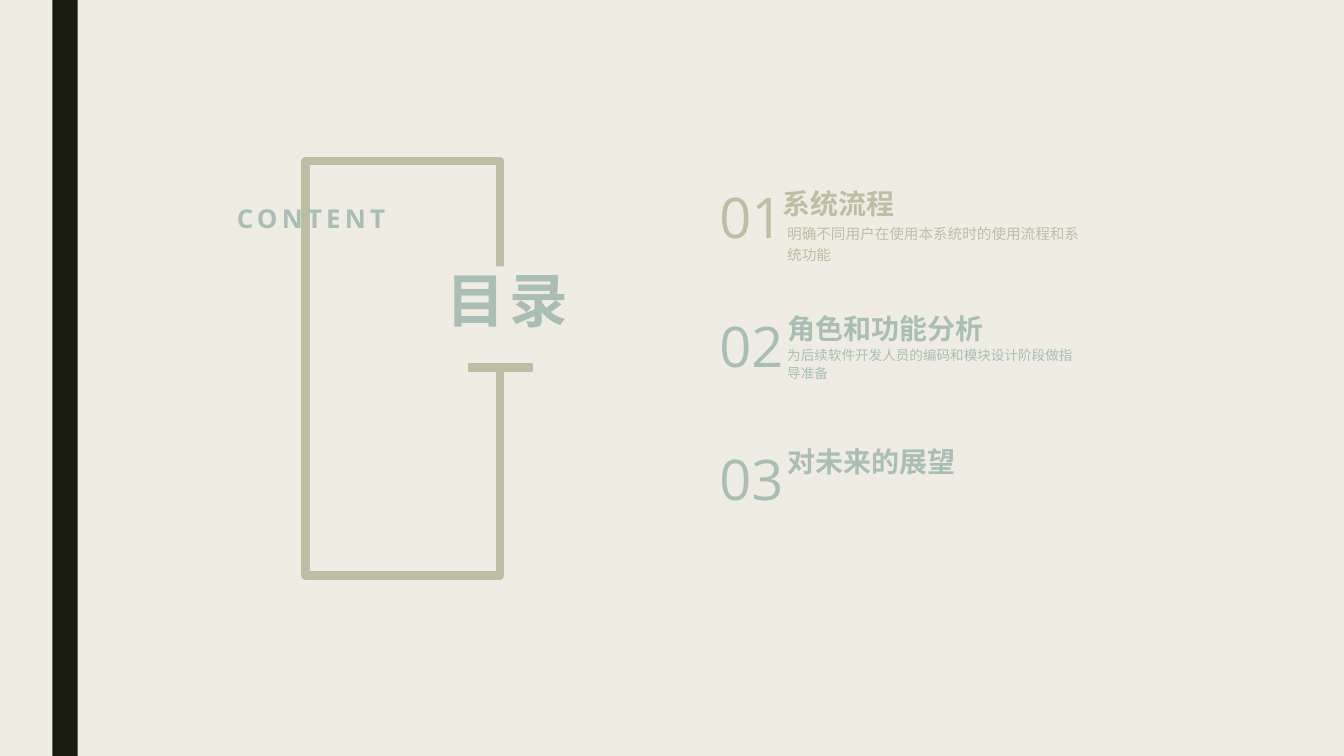
from dataclasses import dataclass
from typing import Optional

from pptx import Presentation
from pptx.dml.color import RGBColor
from pptx.enum.shapes import MSO_SHAPE
from pptx.enum.text import MSO_ANCHOR, MSO_AUTO_SIZE, PP_ALIGN
from pptx.util import Cm, Pt

RECT = MSO_SHAPE.RECTANGLE
TOP, MIDDLE, BOTTOM = MSO_ANCHOR.TOP, MSO_ANCHOR.MIDDLE, MSO_ANCHOR.BOTTOM
LEFT, RIGHT = PP_ALIGN.LEFT, PP_ALIGN.RIGHT
FIXED = MSO_AUTO_SIZE.NONE

CREAM = RGBColor(0xEF, 0xED, 0xE3)
DARK = RGBColor(0x19, 0x1B, 0x0E)
OLIVE = RGBColor(0xBC, 0xBF, 0xA4)
SAGE = RGBColor(0xAA, 0xBE, 0xB5)
FONT = "Open Sans"
PAD = (0.25, 0.13, 0, 0.13)
INDENT = (0.99, 0, 0, 0)


@dataclass
class Box:
    """Place and size in centimetres."""
    x: float
    y: float
    w: float
    h: float

    def cm(self) -> tuple:
        """Return the four lengths."""
        return Cm(self.x), Cm(self.y), Cm(self.w), Cm(self.h)


@dataclass
class Note:
    """Small text under a heading."""
    text: str
    box: Box
    size: float
    lead: float


@dataclass
class Entry:
    """One numbered line of the contents."""
    label: str
    place: Box
    head: str
    spot: Box
    color: RGBColor
    note: Optional[Note] = None


ENTRIES = [
    Entry("01", Box(17.88, 4.32, 1.9, 2.26),
          "系统流程", Box(18.72, 4.75, 8.26, 0.79), OLIVE,
          Note("明确不同用户在使用本系统时的使用流程和系统功能",
               Box(18.85, 5.72, 8.71, 0.79), 10.5, 1.2)),
    Entry("02", Box(17.88, 7.65, 1.9, 2.11),
          "角色和功能分析", Box(18.85, 7.98, 8.26, 0.71), SAGE,
          Note("为后续软件开发人员的编码和模块设计阶段做指导准备",
               Box(18.85, 8.69, 8.26, 0.94), 9.7, 1.1)),
    Entry("03", Box(17.88, 10.9, 1.9, 2.31),
          "对未来的展望", Box(18.85, 11.25, 8.26, 0.79), SAGE),
]


def draw_rect(slide, box: Box, fill=None, line=None, width: float = 0):
    """Draw a plain rectangle with an optional fill and outline."""
    shape = slide.shapes.add_shape(RECT, *box.cm())
    shape.shadow.inherit = False
    if fill is None:
        shape.fill.background()
    else:
        shape.fill.solid()
        shape.fill.fore_color.rgb = fill
    if line is None:
        shape.line.fill.background()
    else:
        shape.line.color.rgb = line
        shape.line.width = Pt(width)
    return shape


def put_text(shape, text: str, *, size: float, color: RGBColor,
             bold: bool = False, track: int = 0, align=LEFT, anchor=TOP,
             pad: tuple = PAD, lead: float = 1.0) -> None:
    """Write one formatted paragraph into a shape."""
    frame = shape.text_frame
    frame.word_wrap = True
    frame.auto_size = FIXED
    frame.vertical_anchor = anchor
    (frame.margin_left, frame.margin_top,
     frame.margin_right, frame.margin_bottom) = map(Cm, pad)
    para = frame.paragraphs[0]
    para.alignment = align
    para.line_spacing = lead
    run = para.add_run()
    run.text = text
    font = run.font
    font.name, font.size, font.bold = FONT, Pt(size), bold
    font.color.rgb = color
    if track:
        run._r.get_or_add_rPr().set("spc", str(track * 100))


def add_text(slide, box: Box, text: str, **form) -> None:
    """Add a text box with formatted text."""
    put_text(slide.shapes.add_textbox(*box.cm()), text, **form)


def draw_cover(slide) -> None:
    """Draw the side bar, the open frame and the title."""
    draw_rect(slide, Box(1.32, 0, 0.64, 19.05), fill=DARK)
    door = draw_rect(slide, Box(7.7, 4.06, 4.9, 10.44), line=OLIVE, width=6)
    title = slide.shapes.title
    title.left, title.top, title.width, title.height = Box(
        10.67, 6.71, 3.89, 2.64).cm()
    title.fill.solid()
    title.fill.fore_color.rgb = CREAM
    door.element.addnext(title.element)
    put_text(title, "目录", size=41.9, color=SAGE, bold=True, track=3,
             align=RIGHT, pad=(0.25, 0.13, 0.25, 0.13), lead=0.9)
    add_text(slide, Box(5.72, 4.98, 4.3, 1.02), "CONTENT",
             size=18.5, color=SAGE, bold=True, track=3)
    draw_rect(slide, Box(11.81, 9.17, 1.6, 0.18), OLIVE, OLIVE, 1.5)


def draw_entry(slide, entry: Entry) -> None:
    """Draw the number, heading and note of one entry."""
    color = entry.color
    add_text(slide, entry.place, entry.label, size=40, color=color,
             anchor=MIDDLE)
    add_text(slide, entry.spot, entry.head, size=20, color=color,
             bold=True, anchor=BOTTOM, pad=INDENT)
    note = entry.note
    if note:
        add_text(slide, note.box, note.text, size=note.size, color=color,
                 anchor=MIDDLE, pad=INDENT, lead=note.lead)


def main() -> None:
    """Build and save the contents slide."""
    deck = Presentation()
    deck.slide_width, deck.slide_height = Cm(33.87), Cm(19.05)
    slide = deck.slides.add_slide(deck.slide_layouts[5])
    slide.background.fill.solid()
    slide.background.fill.fore_color.rgb = CREAM
    draw_cover(slide)
    for entry in ENTRIES:
        draw_entry(slide, entry)
    deck.save("out.pptx")


main()
